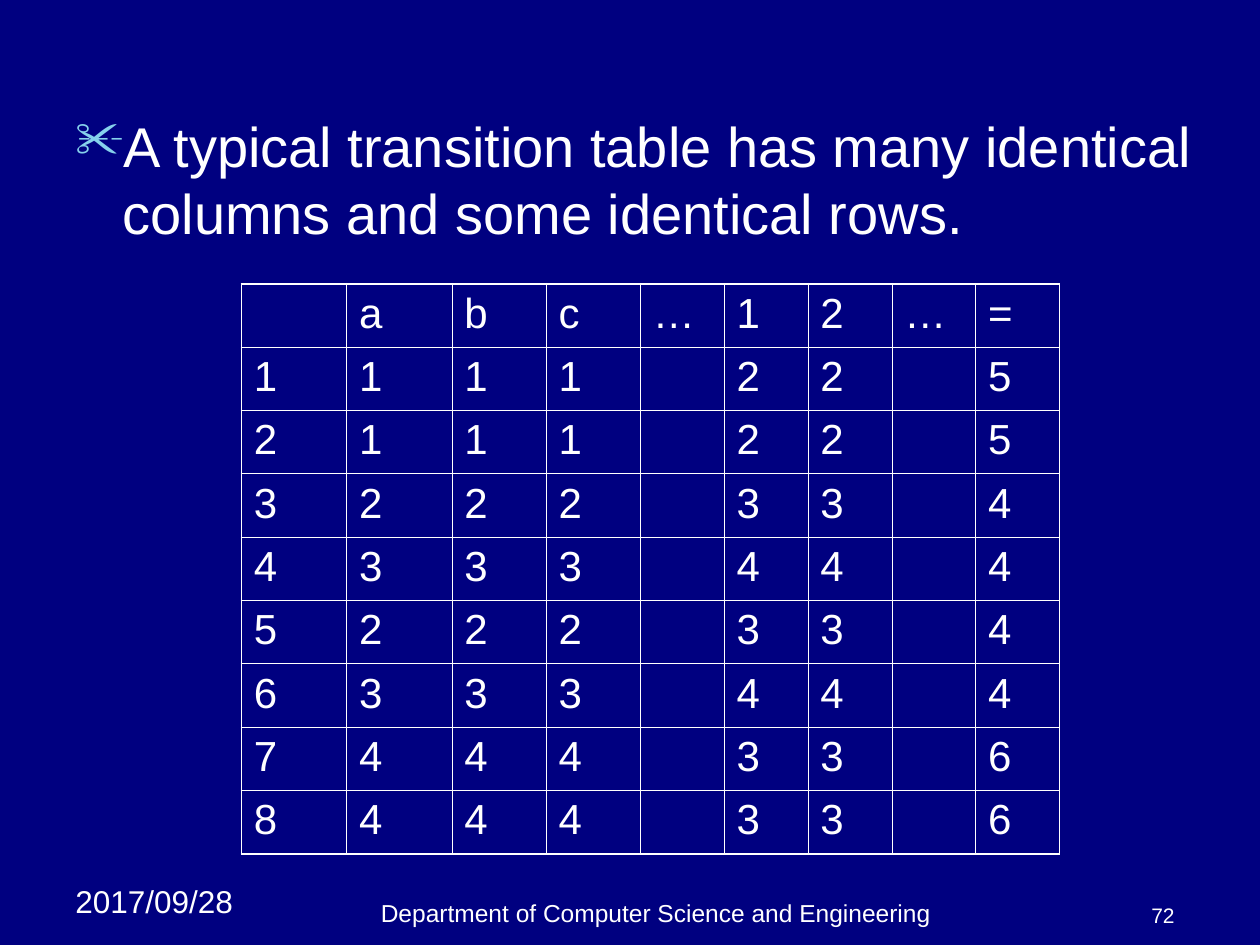
from lxml.etree import SubElement
from pptx import Presentation
from pptx.dml.color import RGBColor
from pptx.enum.text import MSO_ANCHOR as Anchor, PP_ALIGN as Align
from pptx.oxml.ns import qn
from pptx.util import Cm, Pt

COLORS = {"background": "000080", "text": "FFFFFF", "bullet": "86D1EC"}
FONT = "Arial"


def style(paragraph, size):
    for run in paragraph.runs:
        run.font.name = FONT
        run.font.size = Pt(size)
        run.font.color.rgb = RGBColor.from_string(COLORS["text"])


def add_text(text, left, top, width, height, size, align, anchor):
    box = slide.shapes.add_textbox(Cm(left), Cm(top), Cm(width), Cm(height))
    frame = box.text_frame
    frame.word_wrap = True
    frame.vertical_anchor = anchor
    frame.text = text
    paragraph = frame.paragraphs[0]
    paragraph.alignment = align
    style(paragraph, size)
    return paragraph


prs = Presentation()
prs.slide_width, prs.slide_height = Cm(25.4), Cm(19.05)
slide = prs.slides.add_slide(prs.slide_layouts[6])
slide.background.fill.solid()
slide.background.fill.fore_color.rgb = RGBColor.from_string(COLORS["background"])

# Footer: date, department, page number
add_text("2017/09/28", 1.27, 17.65, 4.01, 1.02, 18, Align.LEFT, Anchor.TOP)
add_text("Department of Computer Science and Engineering",
         4.65, 17.98, 17.15, 0.84, 14, Align.CENTER, Anchor.BOTTOM)
add_text("72", 22.23, 17.98, 1.7, 0.84, 12, Align.RIGHT, Anchor.BOTTOM)

# Statement with a scissors bullet
statement = add_text(
    "A typical transition table has many identical columns and some identical rows.",
    1.27, 2.12, 23.06, 15.88, 32, Align.LEFT, Anchor.TOP)
statement_props = statement._p.get_or_add_pPr()
statement_props.set("marL", str(Cm(0.95)))
statement_props.set("indent", str(Cm(-0.95)))
bullet_color = SubElement(statement_props, qn("a:buClr"))
SubElement(bullet_color, qn("a:srgbClr"), val=COLORS["bullet"])
SubElement(statement_props, qn("a:buSzPct"), val="90000")
SubElement(statement_props, qn("a:buChar"), char="✂")

# Transition table: state, letters a-c, digits 1-2, "="
header = ["", "a", "b", "c", "…", "1", "2", "…", "="]
transitions = [(1, 2, 5), (1, 2, 5), (2, 3, 4), (3, 4, 4),
               (2, 3, 4), (3, 4, 4), (4, 3, 6), (4, 3, 6)]
rows = [header] + [
    [state, letter, letter, letter, "", digit, digit, "", equals]
    for state, (letter, digit, equals) in enumerate(transitions, 1)]
column_widths = [2.12] * 2 + [1.9] * 2 + [1.69] * 5
row_height = 1.27
last_row, last_column = len(rows) - 1, len(header) - 1

table = slide.shapes.add_table(
    len(rows), len(header), Cm(4.87), Cm(5.72),
    Cm(sum(column_widths)), Cm(row_height * len(rows))).table
table.first_row = table.horz_banding = False
for column, width in zip(table.columns, column_widths):
    column.width = Cm(width)

for r, values in enumerate(rows):
    table.rows[r].height = Cm(row_height)
    for c, value in enumerate(values):
        cell = table.cell(r, c)
        cell.margin_left = cell.margin_right = Cm(0.25)
        cell.margin_top = cell.margin_bottom = Cm(0.13)
        cell.text = str(value)
        style(cell.text_frame.paragraphs[0], 24)

        # Outer edges are heavier than the inner grid
        outer_edges = {"L": c == 0, "R": c == last_column,
                       "T": r == 0, "B": r == last_row}
        cell_props = cell._tc.get_or_add_tcPr()
        for side, is_outer in outer_edges.items():
            border = SubElement(cell_props, qn(f"a:ln{side}"),
                                w=str(Pt(1.08 if is_outer else 0.45)))
            border_fill = SubElement(border, qn("a:solidFill"))
            SubElement(border_fill, qn("a:srgbClr"), val=COLORS["text"])
        cell.fill.background()

prs.save("out.pptx")
